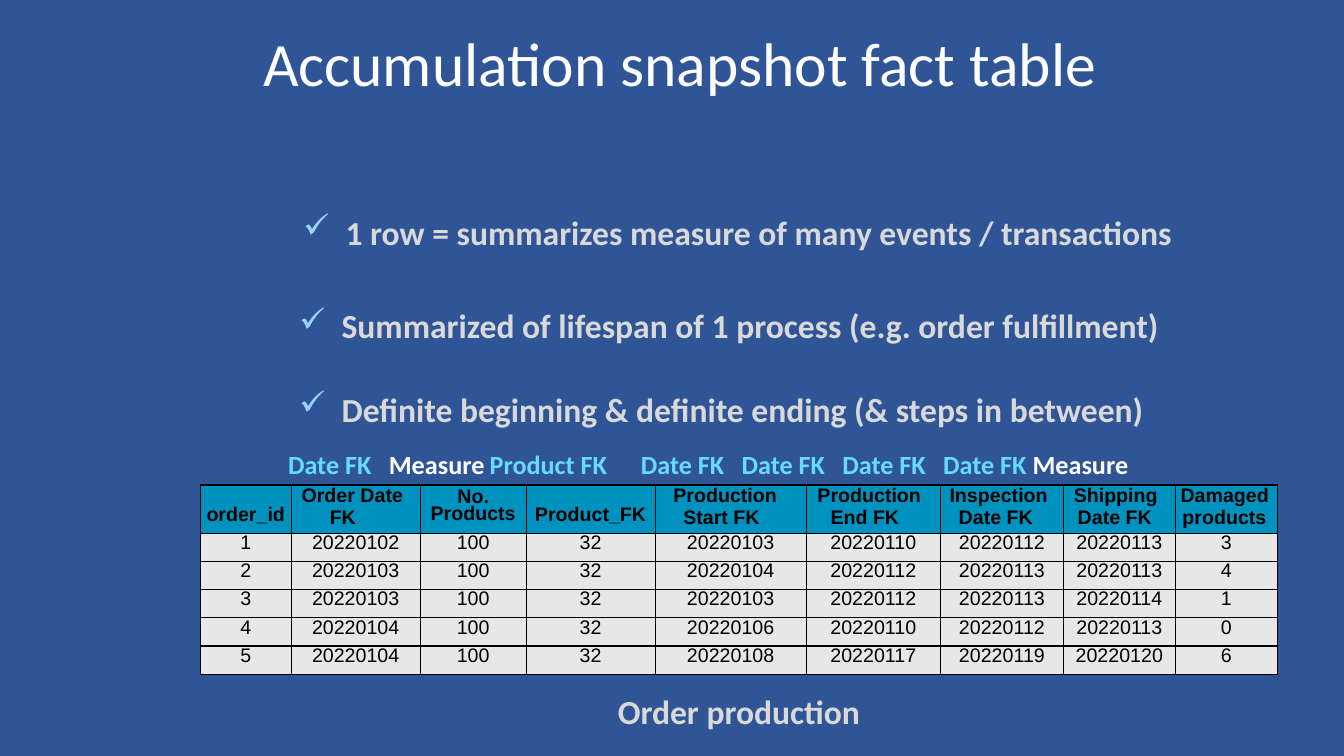
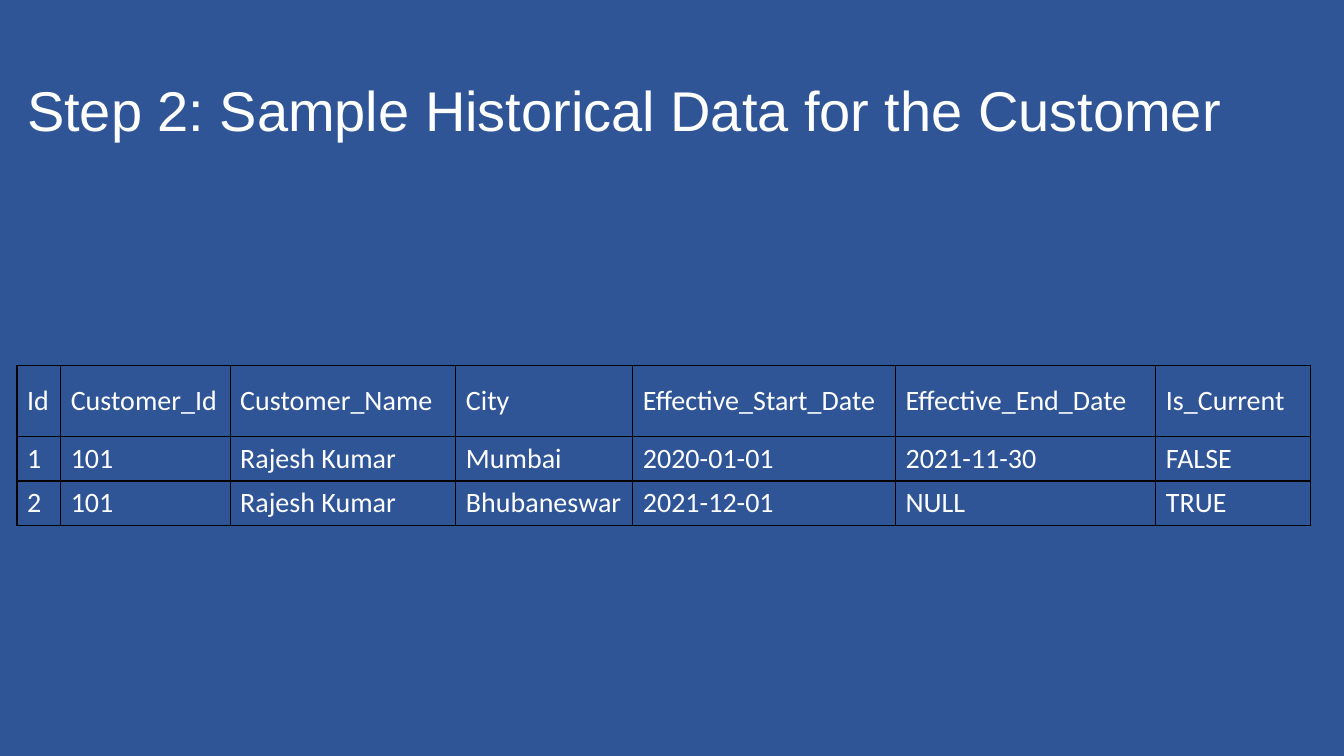
from dataclasses import dataclass

from lxml.etree import SubElement
from pptx import Presentation
from pptx.dml.color import RGBColor
from pptx.enum.text import MSO_ANCHOR as Anchor, MSO_AUTO_SIZE as Fit, PP_ALIGN as Align
from pptx.oxml import parse_xml
from pptx.oxml.ns import nsdecls, qn
from pptx.util import Cm, Pt

BLUE, WHITE, BLACK = "2F5597", "FFFFFF", "000000"
GREY, SKY, TICK = "D9D9D9", "66DBFF", "99D3FF"
HEAD, BODY = "0092BE", "E7E7E7"
SANS, SERIF = "Arial", "Calibri"
EXACT = Pt(11.7)


@dataclass
class Box:
    """A place on the slide, in centimetres."""
    left: float
    top: float
    width: float
    height: float

    def lengths(self) -> tuple:
        """Give the four sides as lengths."""
        return Cm(self.left), Cm(self.top), Cm(self.width), Cm(self.height)


@dataclass
class Column:
    """A table column with its head and its values."""
    head: str
    width: float
    values: tuple = ()
    left: float = 0
    hang: float = 0
    top: float = 0


@dataclass
class Point:
    """A ticked line of text."""
    text: str
    left: float
    before: float


ORDERS = (
    Column("order_id", 2.29, ("1", "2", "3", "4", "5"), top=0.62),
    Column("Order Date FK", 3.25,
           ("20220102", "20220103", "20220103", "20220104", "20220104"), 0.97, -0.71),
    Column("No.\nProducts", 2.67, ("100",) * 5, top=0.03),
    Column("Product_FK", 3.25, ("32",) * 5, top=0.62),
    Column("Production Start FK", 3.81,
           ("20220103", "20220104", "20220103", "20220106", "20220108"), 0.71, -0.25),
    Column("Production End FK", 3.38,
           ("20220110", "20220112", "20220112", "20220110", "20220117"), 0.61, -0.33),
    Column("Inspection Date FK", 3.1,
           ("20220112", "20220113", "20220113", "20220112", "20220119"), 0.46, -0.23),
    Column("Shipping Date FK", 2.82,
           ("20220113", "20220113", "20220114", "20220113", "20220120"), 0.36, -0.1),
    Column("Damaged products", 2.57, ("3", "4", "1", "0", "6"), 0.18, -0.05),
)
CLIENTS = (
    Column("Id", 1.1, ("1", "2")),
    Column("Customer_Id", 4.27, ("101", "101")),
    Column("Customer_Name", 5.69, ("Rajesh Kumar", "Rajesh Kumar")),
    Column("City", 4.46, ("Mumbai", "Bhubaneswar")),
    Column("Effective_Start_Date", 6.62, ("2020-01-01", "2021-12-01")),
    Column("Effective_End_Date", 6.56, ("2021-11-30", "NULL")),
    Column("Is_Current", 3.89, ("FALSE", "TRUE")),
)
POINTS = (
    Point("1 row = summarizes measure of many events / transactions", 1.5, 0),
    Point("Summarized of lifespan of 1 process (e.g. order fulfillment)", 1.4, 38),
    Point("Definite beginning & definite ending (& steps in between)", 1.4, 31),
)
LABELS = (("Date FK\t", SKY), ("Measure\t", WHITE),
          ("Product FK\tDate FK\tDate FK\tDate FK\tDate FK ", SKY), ("Measure", WHITE))
STOPS = (3.1, 6.2, 9.88, 13, 16.48, 19.48)


def paint(hue: str) -> RGBColor:
    """Turn a hex string into a colour."""
    return RGBColor.from_string(hue)


def write(frame, text, *, font=SERIF, size=24, hue=GREY, bold=False, align=Align.LEFT,
          line=1.0, before=0, left=0, hang=0, tick=False, stops=()) -> None:
    """Add one paragraph, given as a string or as coloured parts."""
    para = frame.paragraphs[0]
    if para.runs:
        para = frame.add_paragraph()
    props = para._p.get_or_add_pPr()
    props.set("marL", str(Cm(left)))
    props.set("indent", str(Cm(hang)))
    if tick:
        tint = SubElement(props, qn("a:buClr"))
        SubElement(tint, qn("a:srgbClr"), val=TICK)
        SubElement(props, qn("a:buChar"), char="✓")
    if stops:
        tabs = SubElement(props, qn("a:tabLst"))
        for stop in stops:
            SubElement(tabs, qn("a:tab"), pos=str(Cm(stop)), algn="l")
    para.alignment, para.line_spacing, para.space_before = align, line, Pt(before)
    for part, tone in ((text, hue),) if isinstance(text, str) else text:
        run = para.add_run()
        run.text = part
        run.font.name, run.font.size, run.font.bold = font, Pt(size), bold
        run.font.color.rgb = paint(tone)


def clear(frame, top: float = 0.05) -> None:
    """Wrap a frame and drop its margins but the top one."""
    frame.word_wrap = True
    frame.margin_left = frame.margin_right = frame.margin_bottom = 0
    frame.margin_top = Cm(top)


def start(deck, text: str, box: Box, **form):
    """Add a slide with its title."""
    slide = deck.slides.add_slide(deck.slide_layouts[5])
    title = slide.shapes.title
    title.left, title.top, title.width, title.height = box.lengths()
    frame = title.text_frame
    frame.auto_size, frame.vertical_anchor = Fit.NONE, Anchor.MIDDLE
    write(frame, text, hue=WHITE, **form)
    return slide


def label(slide, box: Box, top: float = 0.05):
    """Add a text box and give its frame."""
    frame = slide.shapes.add_textbox(*box.lengths()).text_frame
    clear(frame, top)
    return frame


def edge(cell) -> None:
    """Draw the four borders of a cell."""
    props = cell._tc.get_or_add_tcPr()
    for spot, side in enumerate("LRTB"):
        props.insert(spot, parse_xml(
            f'<a:ln{side} {nsdecls("a")} w="{Pt(1)}"><a:solidFill>'
            f'<a:srgbClr val="{BLACK}"/></a:solidFill></a:ln{side}>'))


def grid(slide, box: Box, cols: tuple[Column, ...], first: float, rest: float):
    """Add a bordered table without fills or text."""
    rows = len(cols[0].values) + 1
    table = slide.shapes.add_table(rows, len(cols), *box.lengths()).table
    table.first_row = table.horz_banding = False
    for spot, col in enumerate(cols):
        table.columns[spot].width = Cm(col.width)
    for spot, row in enumerate(table.rows):
        row.height = Cm(rest if spot else first)
        for cell in row.cells:
            cell.fill.background()
            edge(cell)
    return table


def shade(cell, hue: str, top: float) -> None:
    """Fill a cell and set its margins."""
    cell.fill.solid()
    cell.fill.fore_color.rgb = paint(hue)
    cell.margin_left = cell.margin_right = cell.margin_bottom = 0
    cell.margin_top = Cm(top)


def facts(deck) -> None:
    """Build the fact table slide."""
    slide = start(deck, "Accumulation snapshot fact table", Box(6.58, 0.56, 23.01, 1.93),
                  size=44, left=0.05)
    clear(slide.shapes.title.text_frame)
    table = grid(slide, Box(5.05, 12.22, 27.14, 4.77), ORDERS, 1.22, 0.71)
    for spot, col in enumerate(ORDERS):
        cell = table.cell(0, spot)
        shade(cell, HEAD, col.top)
        for row, text in enumerate(col.head.split("\n")):
            tight = row > 0 or col.top > 0.1
            write(cell.text_frame, text, font=SANS, size=14, hue=BLACK, bold=True,
                  align=Align.LEFT if col.left else Align.CENTER,
                  line=EXACT if tight else 1.0, left=col.left, hang=col.hang)
        for row, text in enumerate(col.values, 1):
            cell = table.cell(row, spot)
            shade(cell, BODY, 0.1)
            write(cell.text_frame, text, font=SANS, size=14, hue=BLACK,
                  align=Align.CENTER, line=EXACT)
    write(label(slide, Box(14.73, 16.92, 7.8, 1.5), 0.48), "Order production",
          bold=True, left=0.84)
    frame = label(slide, Box(7.21, 5.28, 24.43, 6.91))
    for point in POINTS:
        write(frame, point.text, bold=True, before=point.before, left=point.left,
              hang=-1.07, tick=True)
    write(frame, LABELS, size=18.7, bold=True, before=13.9, left=0.05, stops=STOPS)


def history(deck) -> None:
    """Build the customer history slide."""
    slide = start(deck, "Step 2: Sample Historical Data for the Customer",
                  Box(0.43, 1.02, 32.84, 3.68), font=SANS, size=40, line=0.9)
    table = grid(slide, Box(0.43, 9.22, 32.59, 4.02), CLIENTS, 1.78, 1.12)
    for spot, col in enumerate(CLIENTS):
        for row, text in enumerate((col.head, *col.values)):
            cell = table.cell(row, spot)
            cell.vertical_anchor = Anchor.MIDDLE
            write(cell.text_frame, text, size=20, hue=WHITE)


def main() -> None:
    """Build and save the deck."""
    deck = Presentation()
    deck.slide_width, deck.slide_height = Cm(33.87), Cm(19.05)
    fill = deck.slide_master.background.fill
    fill.solid()
    fill.fore_color.rgb = paint(BLUE)
    facts(deck)
    history(deck)
    deck.save("out.pptx")


if __name__ == "__main__":
    main()
